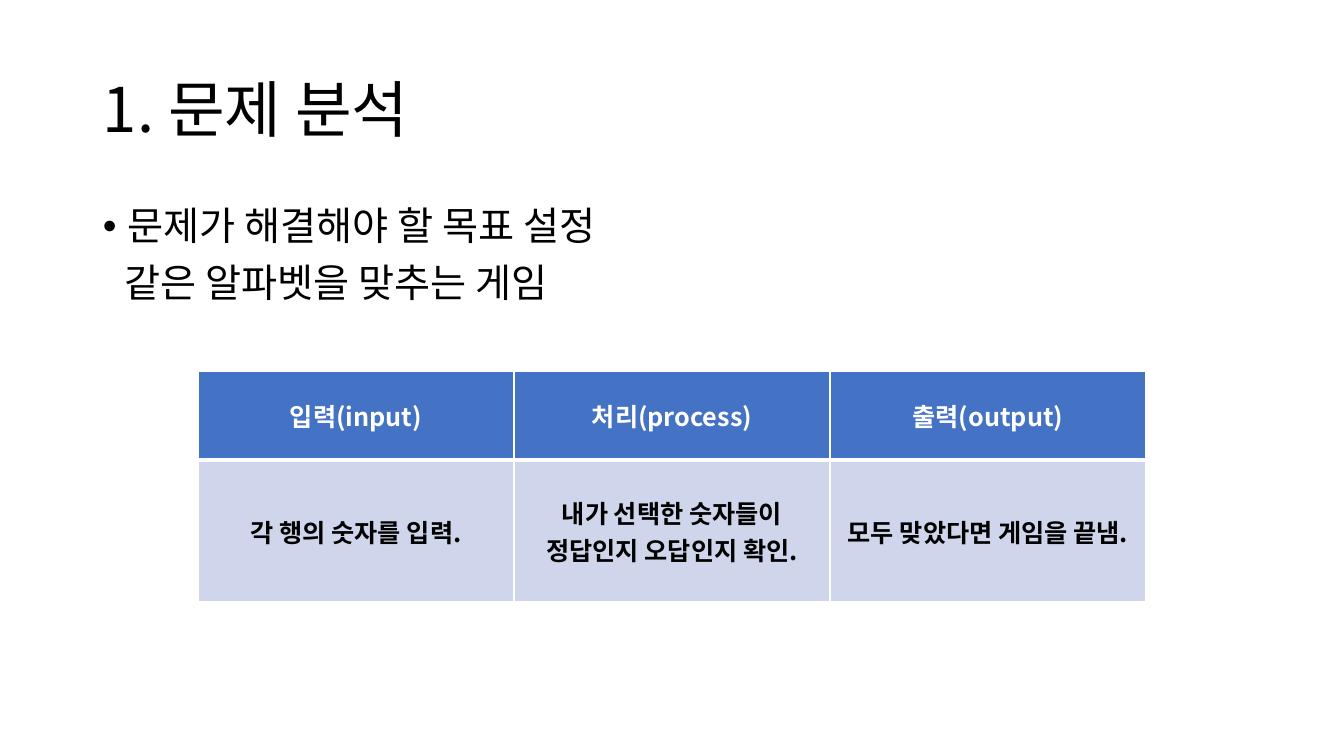
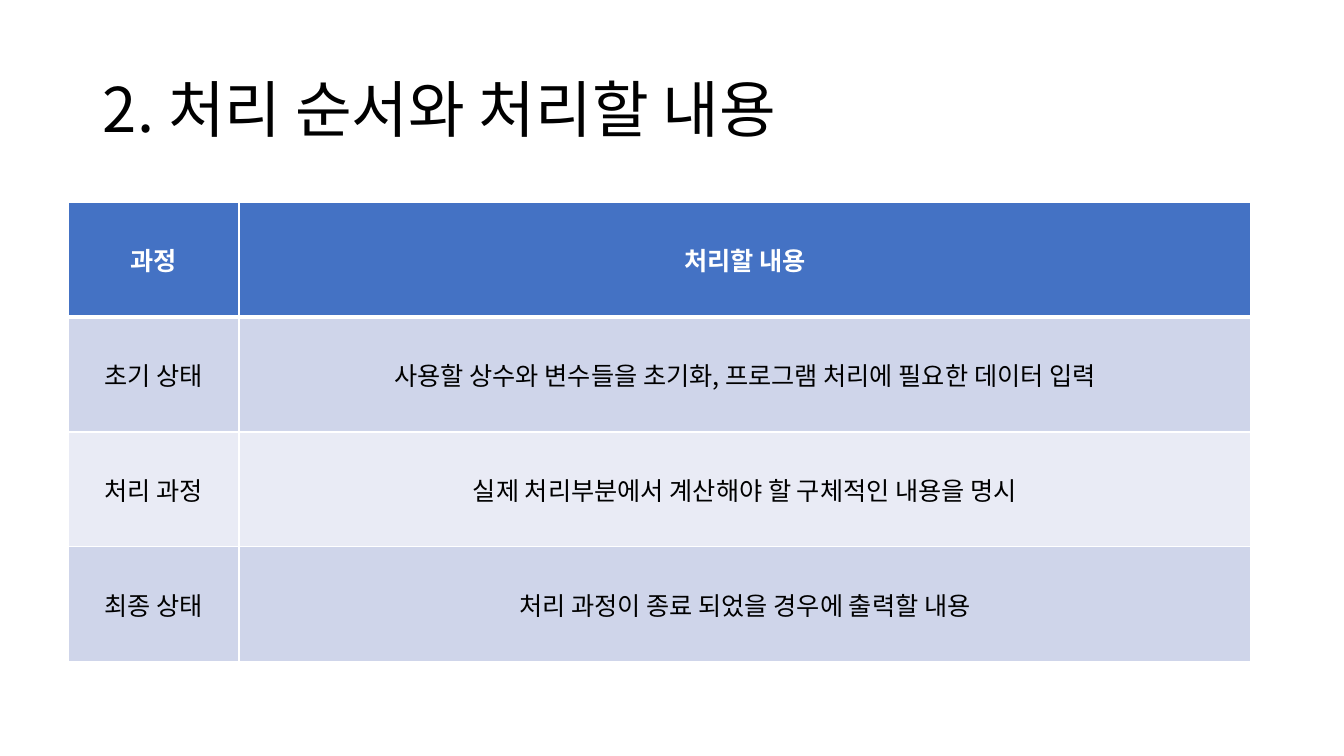
"""Build two slides on problem analysis and processing order."""
from lxml import etree
from pptx import Presentation
from pptx import util as u
from pptx.dml.color import RGBColor
from pptx.enum import text
from pptx.oxml import ns

ANALYSIS = {
    "title": "1. 문제 분석",
    "points": [("문제가 해결해야 할 목표 설정", True), ("같은 알파벳을 맞추는 게임", False)],
    "rows": [
        ("입력(input)", "처리(process)", "출력(output)"),
        ("각 행의 숫자를 입력.", "내가 선택한 숫자들이 정답인지 오답인지 확인.",
         "모두 맞았다면 게임을 끝냄."),
    ],
    "at": (198, 371), "widths": [316] * 3, "heights": [89, 142], "bold_body": True,
}
PROCESS = {
    "title": "2. 처리 순서와 처리할 내용",
    "points": [],
    "rows": [
        ("과정", "처리할 내용"),
        ("초기 상태", "사용할 상수와 변수들을 초기화, 프로그램 처리에 필요한 데이터 입력"),
        ("처리 과정", "실제 처리부분에서 계산해야 할 구체적인 내용을 명시"),
        ("최종 상태", "처리 과정이 종료 되었을 경우에 출력할 내용"),
    ],
    "at": (68, 202), "widths": [171, 1012], "heights": [115] * 4, "bold_body": False,
}

FONT = "Noto Sans CJK KR"
BLACK = RGBColor(0x00, 0x00, 0x00)
WHITE = RGBColor(0xFF, 0xFF, 0xFF)
HEADER = RGBColor(0x44, 0x72, 0xC4)
BANDS = (RGBColor(0xCF, 0xD5, 0xEA), RGBColor(0xE9, 0xEB, 0xF5))
SLIDE = (1344, 756)
TITLE_BOX = (93, 40, 1159, 146)
POINTS_BOX = (93, 202, 1159, 480)
BULLET_INDENT, PLAIN_INDENT = 25, 22


def px(n):
    return u.Emu(round(n * 914400 / 100.8))


def add_child(parent, tag, **attrs):
    return etree.SubElement(parent, ns.qn(tag), attrs)


def style(p, size, color=BLACK, bold=False):
    for r in p.runs:
        r.font.name, r.font.size, r.font.bold = FONT, u.Pt(size), bold
        r.font.color.rgb = color
        add_child(r.font._element, "a:ea", typeface=FONT)


def add_text(slide, box, lines, size, anchor):
    tf = slide.shapes.add_textbox(*map(px, box)).text_frame
    tf.word_wrap, tf.vertical_anchor = True, anchor
    tf.text = "\n".join(lines)
    for p in tf.paragraphs:
        p.line_spacing = 0.9
        style(p, size)
    return tf.paragraphs


def add_points(slide, points):
    lines = [line for line, _ in points]
    paragraphs = add_text(slide, POINTS_BOX, lines, 28, text.MSO_ANCHOR.TOP)
    for p, (_, bulleted) in zip(paragraphs, points):
        p.space_before = u.Pt(10)
        pPr = p._p.get_or_add_pPr()
        pPr.set("marL", str(px(BULLET_INDENT if bulleted else PLAIN_INDENT)))
        if bulleted:
            pPr.set("indent", str(-px(BULLET_INDENT)))
            add_child(pPr, "a:buFont", typeface="Arial")
            add_child(pPr, "a:buChar", char="•")


def add_borders(cell, top, bottom):
    tcPr = cell._tc.get_or_add_tcPr()
    sides = (("L", 1), ("R", 1), ("T", top), ("B", bottom))
    for i, (side, width) in enumerate(sides):
        ln = etree.Element(ns.qn(f"a:ln{side}"), w=str(u.Pt(width)))
        add_child(add_child(ln, "a:solidFill"), "a:srgbClr", val=str(WHITE))
        tcPr.insert(i, ln)


def add_table(slide, rows, at, widths, heights, bold_body):
    box = (*at, sum(widths), sum(heights))
    table = slide.shapes.add_table(len(rows), len(widths), *map(px, box)).table
    for column, width in zip(table.columns, widths):
        column.width = px(width)
    for i, (row, height) in enumerate(zip(rows, heights)):
        table.rows[i].height = px(height)
        head = i == 0
        for j, words in enumerate(row):
            cell = table.cell(i, j)
            cell.text = words
            cell.vertical_anchor = text.MSO_ANCHOR.MIDDLE
            cell.fill.solid()
            cell.fill.fore_color.rgb = HEADER if head else BANDS[(i - 1) % 2]
            add_borders(cell, 3 if i == 1 else 1, 3 if head else 1)
            p = cell.text_frame.paragraphs[0]
            p.alignment = text.PP_ALIGN.CENTER
            style(p, 18, WHITE if head else BLACK, head or bold_body)


def add_page(prs, title, points, **table):
    slide = prs.slides.add_slide(prs.slide_layouts[6])
    add_text(slide, TITLE_BOX, [title], 44, text.MSO_ANCHOR.MIDDLE)
    if points:
        add_points(slide, points)
    add_table(slide, **table)


prs = Presentation()
prs.slide_width, prs.slide_height = map(px, SLIDE)
for page in (ANALYSIS, PROCESS):
    add_page(prs, **page)
prs.save("out.pptx")
